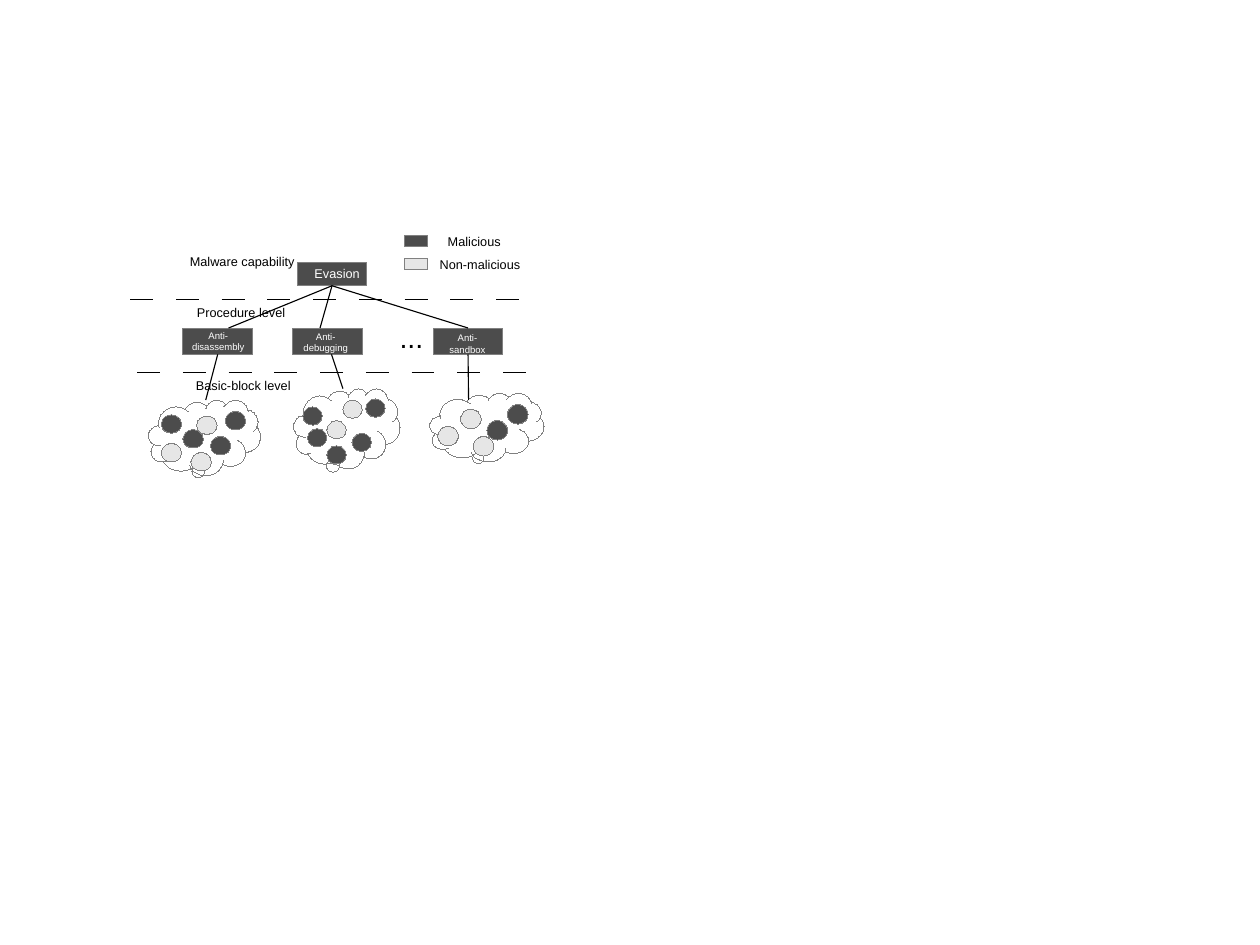
"""Draw a tree of malware evasion levels over clouds of basic blocks."""
from dataclasses import dataclass
from typing import Any, Optional

from lxml.etree import SubElement
from pptx import Presentation
from pptx.dml.color import RGBColor
from pptx.enum.shapes import MSO_CONNECTOR as Link, MSO_SHAPE as Kind
from pptx.enum.text import MSO_ANCHOR as Anchor, MSO_AUTO_SIZE as Auto, PP_ALIGN as Align
from pptx.oxml.ns import qn
from pptx.util import Inches, Pt

DARK = RGBColor(0x4C, 0x4C, 0x4C)
LIGHT = RGBColor(0xE6, 0xE6, 0xE6)
GREY = RGBColor(0x80, 0x80, 0x80)
BLACK = RGBColor(0, 0, 0)
WHITE = RGBColor(0xFF, 0xFF, 0xFF)
TOP, BOTTOM = 0, 2
HAIR, RULE, DASH = 0.01, 0.17, 0.2


@dataclass
class Box:
    x: float
    y: float
    w: float
    h: float


@dataclass
class Label:
    text: str
    box: Box
    size: float = 8
    color: RGBColor = BLACK


@dataclass
class Cloud:
    box: Box
    tail: tuple[float, float]
    dot: tuple[float, float]
    dark: list[tuple[float, float]]
    light: list[tuple[float, float]]


@dataclass
class Edge:
    start: tuple[float, float]
    end: tuple[float, float]
    head: Optional[Any] = None
    foot: Optional[Any] = None


CLOUDS = [
    Cloud(Box(1.3, 3.5, 0.98, 0.66), (-0.037, 0.291), (0.18, 0.16),
          [(1.41, 3.63), (1.6, 3.76), (1.97, 3.6), (1.84, 3.82)],
          [(1.41, 3.88), (1.72, 3.64), (1.67, 3.96)]),
    Cloud(Box(2.57, 3.4, 0.93, 0.7), (-0.107, 0.373), (0.17, 0.16),
          [(2.65, 3.56), (3.2, 3.49), (2.69, 3.75), (2.86, 3.9), (3.08, 3.79)],
          [(2.86, 3.68), (3, 3.5)]),
    Cloud(Box(3.76, 3.44, 1, 0.6), (-0.049, 0.289), (0.18, 0.17),
          [(4.44, 3.54), (4.26, 3.68)],
          [(4.03, 3.58), (3.83, 3.73), (4.14, 3.82)]),
]
LEVELS = [
    Label("Malware capability", Box(0.77, 2.18, 2.7, 0.22)),
    Label("Procedure level", Box(0.76, 2.62, 2.7, 0.22)),
    Label("Basic-block level", Box(0.78, 3.26, 2.7, 0.22)),
]
NAMES = [
    Label("Evasion", Box(2.6, 2.28, 0.7, 0.22), 8, WHITE),
    Label("Anti-\ndisassembly", Box(1.46, 2.84, 0.9, 0.29), 6, WHITE),
    Label("Anti-\ndebugging", Box(2.4, 2.85, 0.9, 0.29), 6, WHITE),
    Label("Anti-\nsandbox", Box(3.64, 2.86, 0.9, 0.29), 6, WHITE),
]
LEGEND = [
    (DARK, Label("Malicious", Box(3.7, 2, 0.9, 0.22))),
    (LIGHT, Label("Non-malicious", Box(3.7, 2.2, 1, 0.22))),
]


def place(box: Box) -> list[int]:
    """Give the box in slide units."""
    return [Inches(v) for v in (box.x, box.y, box.w, box.h)]


def shape(tree: Any, kind: Kind, box: Box, fill: Optional[RGBColor]) -> Any:
    """Add a grey-edged shape, hollow if it has no fill."""
    item = tree.add_shape(kind, *place(box))
    item.shadow.inherit = False
    if fill is None:
        item.fill.background()
    else:
        item.fill.solid()
        item.fill.fore_color.rgb = fill
    item.line.color.rgb = GREY
    item.line.width = Pt(HAIR)
    return item


def write(tree: Any, label: Label) -> None:
    """Add a centred text box."""
    frame = tree.add_textbox(*place(label.box)).text_frame
    frame.word_wrap = True
    frame.auto_size = Auto.SHAPE_TO_FIT_TEXT
    frame.vertical_anchor = Anchor.MIDDLE
    frame.text = label.text
    for para in frame.paragraphs:
        para.alignment = Align.CENTER
        para.font.name = "Arial"
        para.font.size = Pt(label.size)
        para.font.color.rgb = label.color


def join(tree: Any, edge: Edge, width: float = 0.71) -> Any:
    """Add a black line, joined to the boxes at its ends."""
    line = tree.add_connector(Link.STRAIGHT, *map(Inches, edge.start + edge.end))
    if edge.head is not None:
        line.begin_connect(edge.head, BOTTOM)
    if edge.foot is not None:
        line.end_connect(edge.foot, TOP)
    line.line.color.rgb = BLACK
    line.line.width = Pt(width)
    SubElement(line._element.spPr, qn("a:effectLst"))
    return line


def divide(tree: Any, x: float, y: float) -> None:
    """Add a long-dashed divider between levels."""
    rule = join(tree, Edge((x, y), (x + 3.5, y)), RULE)
    share = str(round(DASH * 72 / RULE * 100000))
    dash = SubElement(rule.line._get_or_add_ln(), qn("a:custDash"))
    SubElement(dash, qn("a:ds"), d=share, sp=share)


def puff(tree: Any, cloud: Cloud) -> None:
    """Add a cloud with its dots as one group."""
    group = tree.add_group_shape().shapes
    body = shape(group, Kind.CLOUD_CALLOUT, cloud.box, None)
    body.adjustments[0], body.adjustments[1] = cloud.tail
    for fill, spots in ((DARK, cloud.dark), (LIGHT, cloud.light)):
        for spot in spots:
            shape(group, Kind.OVAL, Box(*spot, *cloud.dot), fill)


def main() -> None:
    """Build and save the slide."""
    deck = Presentation()
    deck.slide_width = Inches(28 / 2.54)
    deck.slide_height = Inches(21 / 2.54)
    tree = deck.slides.add_slide(deck.slide_layouts[6]).shapes

    root = shape(tree, Kind.RECTANGLE, Box(2.6, 2.3, 0.61, 0.2), DARK)
    right, _, left = [shape(tree, Kind.RECTANGLE, Box(x, 2.87, 0.61, 0.23), DARK)
                      for x in (3.79, 2.56, 1.6)]
    write(tree, Label("...", Box(3.3, 2.76, 0.6, 0.38), 18))
    for x, foot in ((2, None), (4.1, right), (2.8, None)):
        join(tree, Edge((2.9, 2.5), (x, 2.87), root, foot))
    for cloud in CLOUDS:
        puff(tree, cloud)
    for edge in (Edge((1.9, 3.1), (1.8, 3.5), left),
                 Edge((2.9, 3.1), (3, 3.4)),
                 Edge((4.1, 3.1), (4.1, 3.5), right)):
        join(tree, edge)
    divide(tree, 1.14, 2.62)
    divide(tree, 1.2, 3.26)
    for label in LEVELS:
        write(tree, label)
    key = tree.add_group_shape().shapes
    for fill, label in LEGEND:
        shape(key, Kind.RECTANGLE, Box(3.54, label.box.y + 0.06, 0.2, 0.1), fill)
        write(key, label)
    for label in NAMES:
        write(tree, label)
    deck.save("out.pptx")


if __name__ == "__main__":
    main()
